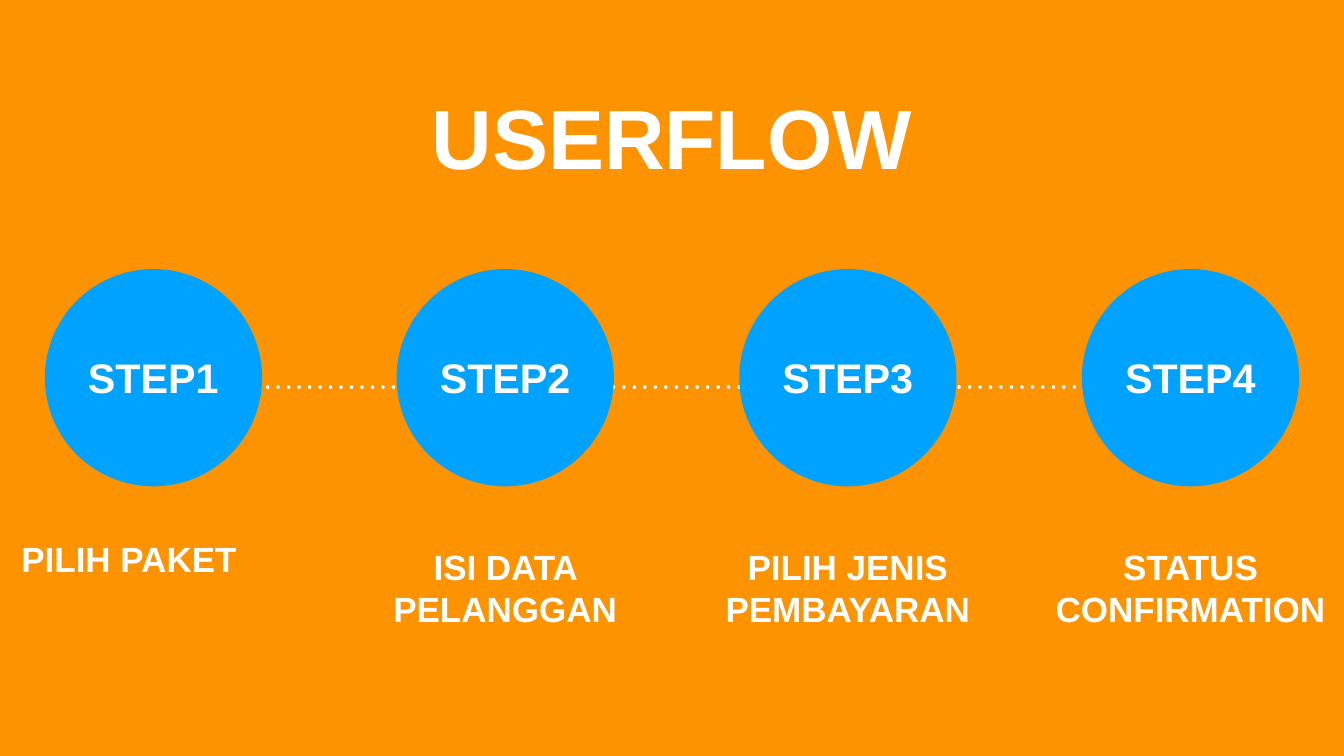
import pptx
import pptx.dml.color
import pptx.enum.shapes
import pptx.enum.text
import pptx.oxml
import pptx.oxml.ns
import pptx.util
from pptx.util import Cm

ALIGN = pptx.enum.text.PP_ALIGN
ORANGE, BLUE, WHITE = "FE9301", "00A2FF", "FFFFFF"

# Content: circle left, step, caption lines, caption top, width, height, alignment (cm)
TITLE = "USERFLOW"
STEPS = [
    (2.26, "STEP1", ["PILIH PAKET"], 26.95, 13.59, 2.39, ALIGN.LEFT),
    (19.99, "STEP2", ["ISI DATA PELANGGAN"], 27.36, 13.59, 4.52, ALIGN.CENTER),
    (37.26, "STEP3", ["PILIH JENIS", "PEMBAYARAN"], 27.36, 15.6, 4.52, ALIGN.CENTER),
    (54.53, "STEP4", ["STATUS", "CONFIRMATION"], 27.36, 18.39, 4.52, ALIGN.CENTER),
]
CIRCLE_TOP, DIAMETER = 13.56, 10.95
LABEL_TOP, LABEL_WIDTH, LABEL_HEIGHT = 17.63, 7.59, 2.77
LINE_LEFT, LINE_RIGHT, LINE_Y = 11.38, 59.21, 19.51


def paint(color_format, value):
    color_format.rgb = pptx.dml.color.RGBColor.from_string(value)


def fill_solid(fill, value):
    fill.solid()
    paint(fill.fore_color, value)


def write(box, lines, size, align=ALIGN.CENTER, wrap=True):
    frame = box.text_frame
    frame.text = "\n".join(lines)
    frame.word_wrap = wrap
    frame.auto_size = pptx.enum.text.MSO_AUTO_SIZE.NONE
    frame.vertical_anchor = pptx.enum.text.MSO_ANCHOR.MIDDLE
    frame.margin_left = frame.margin_right = Cm(0.14)
    frame.margin_top = frame.margin_bottom = Cm(0.14)
    for para in frame.paragraphs:
        para.alignment = align
        para.font.name = "Arial"
        para.font.size = pptx.util.Pt(size)
        para.font.bold = True
        paint(para.font.color, WHITE)


def add_dotted_line(page):
    line = page.shapes.add_connector(
        pptx.enum.shapes.MSO_CONNECTOR.STRAIGHT,
        Cm(LINE_LEFT), Cm(LINE_Y), Cm(LINE_RIGHT), Cm(LINE_Y))
    line.line.width = pptx.util.Pt(5)
    fill_solid(line.line.fill, WHITE)
    # Round dots, two widths apart
    outline = line.line._get_or_add_ln()
    outline.set("cap", "rnd")
    outline.append(pptx.oxml.parse_xml(
        f'<a:custDash {pptx.oxml.ns.nsdecls("a")}><a:ds d="100000" sp="200000"/></a:custDash>'))
    line._element.spPr.append(pptx.oxml.parse_xml(
        f'<a:effectLst {pptx.oxml.ns.nsdecls("a")}/>'))


def add_step(page, left, step, caption, top, width, height, align):
    center = left + DIAMETER / 2
    circle = page.shapes.add_shape(
        pptx.enum.shapes.MSO_SHAPE.OVAL,
        Cm(left), Cm(CIRCLE_TOP), Cm(DIAMETER), Cm(DIAMETER))
    circle.shadow.inherit = False
    fill_solid(circle.fill, BLUE)
    circle.line.fill.background()

    label = page.shapes.add_textbox(
        Cm(center - LABEL_WIDTH / 2), Cm(LABEL_TOP), Cm(LABEL_WIDTH), Cm(LABEL_HEIGHT))
    write(label, [step], 59, wrap=False)

    box = page.shapes.add_textbox(Cm(center - width / 2), Cm(top), Cm(width), Cm(height))
    write(box, caption, 50, align)


def main():
    deck = pptx.Presentation()
    deck.slide_width, deck.slide_height = Cm(67.74), Cm(38.1)
    page = deck.slides.add_slide(deck.slide_layouts[5])
    fill_solid(page.background.fill, ORANGE)

    # Title
    title = page.shapes.title
    title.left, title.top, title.width, title.height = Cm(19.02), Cm(4.19), Cm(29.69), Cm(5.36)
    write(title, [TITLE], 120)

    # Flow: the line runs behind the circles
    add_dotted_line(page)
    for step in STEPS:
        add_step(page, *step)

    deck.save("out.pptx")


if __name__ == "__main__":
    main()
